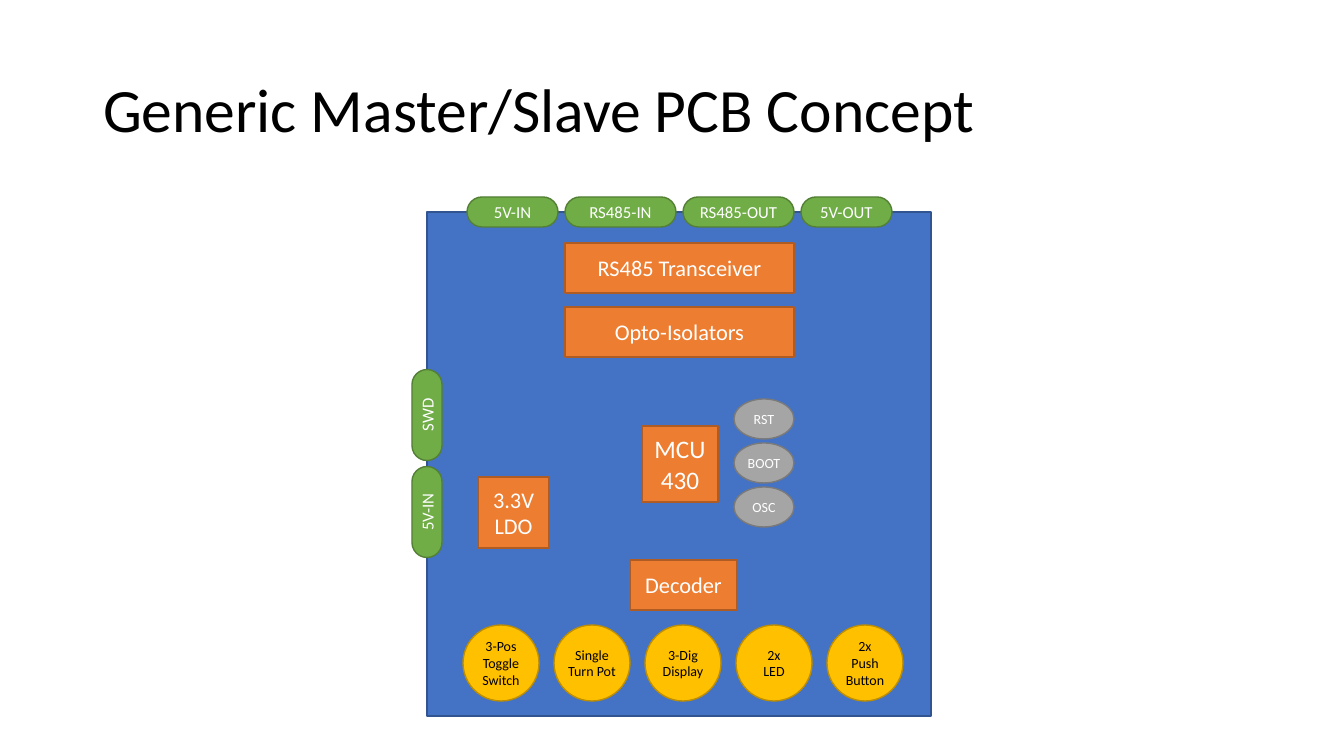
"""Build the block diagram slide of a generic master/slave PCB."""
from pptx import Presentation
from pptx.dml.color import RGBColor
from pptx.enum.shapes import MSO_SHAPE as Preset
from pptx.enum.text import MSO_ANCHOR as Anchor, PP_ALIGN as Align
from pptx.util import Pt

WHITE = RGBColor(0xFF, 0xFF, 0xFF)
BLACK = RGBColor(0x00, 0x00, 0x00)
BLUE, BLUE_EDGE = RGBColor(0x44, 0x72, 0xC4), RGBColor(0x32, 0x54, 0x91)
GREEN, GREEN_EDGE = RGBColor(0x70, 0xAD, 0x47), RGBColor(0x53, 0x80, 0x35)
ORANGE, ORANGE_EDGE = RGBColor(0xED, 0x7D, 0x31), RGBColor(0xAF, 0x5C, 0x24)
GOLD, GOLD_EDGE = RGBColor(0xFF, 0xC0, 0x00), RGBColor(0xBD, 0x8E, 0x00)
GRAY, GRAY_EDGE = RGBColor(0xA5, 0xA5, 0xA5), RGBColor(0x7A, 0x7A, 0x7A)

EMU_PER_PIXEL = 914400 / 100.8
FONT = "Calibri"
NO_MARGINS = dict.fromkeys(("margin_left", "margin_top", "margin_right", "margin_bottom"), 0)

TITLE = "Generic Master/Slave PCB Concept"
TOP_CONNECTORS = [("5V-IN", 91), ("RS485-IN", 111), ("RS485-OUT", 111), ("5V-OUT", 91)]
SIDE_CONNECTORS = ["SWD", "5V-IN"]
CHIPS = [
    ("RS485 Transceiver", 16, (565, 243, 229, 50)),
    ("Opto-Isolators", 16, (565, 307, 229, 50)),
    ("MCU430", 18, (642, 426, 76, 76)),
    ("3.3V LDO", 16, (478, 477, 71, 71)),
    ("Decoder", 16, (630, 560, 107, 50)),
]
CONTROLS = ["3-Pos\nToggle\nSwitch", "Single Turn Pot", "3-Dig Display", "2x\nLED", "2x\nPush\nButton"]
SUPPORT_PARTS = ["RST", "BOOT", "OSC"]

BOARD_BOX = (427, 212, 504, 504)
CONNECTOR_LEFT, CONNECTOR_GAP, CONNECTOR_HEIGHT = 467, 7, 30
SIDE_LENGTH, SIDE_MIDDLE, SIDE_PITCH = 91, 415, 97
CONTROL_LEFT, CONTROL_TOP, CONTROL_SIZE, CONTROL_PITCH = 463, 625, 76, 91
SUPPORT_LEFT, SUPPORT_TOP, SUPPORT_PITCH = 734, 399, 44

STYLES = {
    "board": (Preset.RECTANGLE, BLUE, BLUE_EDGE, WHITE, {}),
    "connector": (Preset.ROUNDED_RECTANGLE, GREEN, GREEN_EDGE, WHITE, {}),
    "chip": (Preset.RECTANGLE, ORANGE, ORANGE_EDGE, WHITE, {}),
    "control": (Preset.OVAL, GOLD, GOLD_EDGE, BLACK, NO_MARGINS),
    "support": (Preset.OVAL, GRAY, GRAY_EDGE, WHITE, NO_MARGINS),
}


def px(pixels):
    return round(pixels * EMU_PER_PIXEL)


def set_all(target, values):
    for name, value in values.items():
        setattr(target, name, value)


def write(frame, text, size, color, paragraph_format, frame_format):
    frame.text = text
    set_all(frame, {"word_wrap": True, "vertical_anchor": Anchor.MIDDLE, **frame_format})
    for paragraph in frame.paragraphs:
        set_all(paragraph, paragraph_format)
        for run in paragraph.runs:
            set_all(run.font, {"name": FONT, "size": Pt(size)})
            run.font.color.rgb = color


def add_part(shapes, style, box, text="", size=12, rotation=0):
    preset, fill, edge, text_color, frame_format = STYLES[style]
    shape = shapes.add_shape(preset, *map(px, box))
    shape.shadow.inherit = False
    shape.fill.solid()
    shape.fill.fore_color.rgb = fill
    shape.line.color.rgb = edge
    shape.line.width = Pt(1)
    shape.rotation = rotation
    if preset == Preset.ROUNDED_RECTANGLE:
        shape.adjustments[0] = 0.5
    write(shape.text_frame, text, size, text_color, {"alignment": Align.CENTER}, frame_format)


presentation = Presentation()
set_all(presentation, {"slide_width": px(1344), "slide_height": px(756)})
slide = presentation.slides.add_slide(presentation.slide_layouts[5])

title = slide.shapes.title
set_all(title, {"left": px(93), "top": px(40), "width": px(1159), "height": px(146)})
write(title.text_frame, TITLE, 44, BLACK, {"alignment": Align.LEFT, "line_spacing": 0.9}, {})

parts = slide.shapes.add_group_shape().shapes
add_part(parts, "board", BOARD_BOX)
board_left, board_top = BOARD_BOX[:2]

left = CONNECTOR_LEFT
for label, width in TOP_CONNECTORS:
    add_part(parts, "connector", (left, board_top - CONNECTOR_HEIGHT / 2, width, CONNECTOR_HEIGHT), label)
    left += width + CONNECTOR_GAP

for index, label in enumerate(SIDE_CONNECTORS):
    middle = SIDE_MIDDLE + index * SIDE_PITCH
    box = (board_left - SIDE_LENGTH / 2, middle - CONNECTOR_HEIGHT / 2, SIDE_LENGTH, CONNECTOR_HEIGHT)
    add_part(parts, "connector", box, label, rotation=270)

for label, size, box in CHIPS:
    add_part(parts, "chip", box, label, size)

for index, label in enumerate(CONTROLS):
    box = (CONTROL_LEFT + index * CONTROL_PITCH, CONTROL_TOP, CONTROL_SIZE, CONTROL_SIZE)
    add_part(parts, "control", box, label, 10)

for index, label in enumerate(SUPPORT_PARTS):
    add_part(parts, "support", (SUPPORT_LEFT, SUPPORT_TOP + index * SUPPORT_PITCH, 60, 40), label, 10)

presentation.save("out.pptx")
